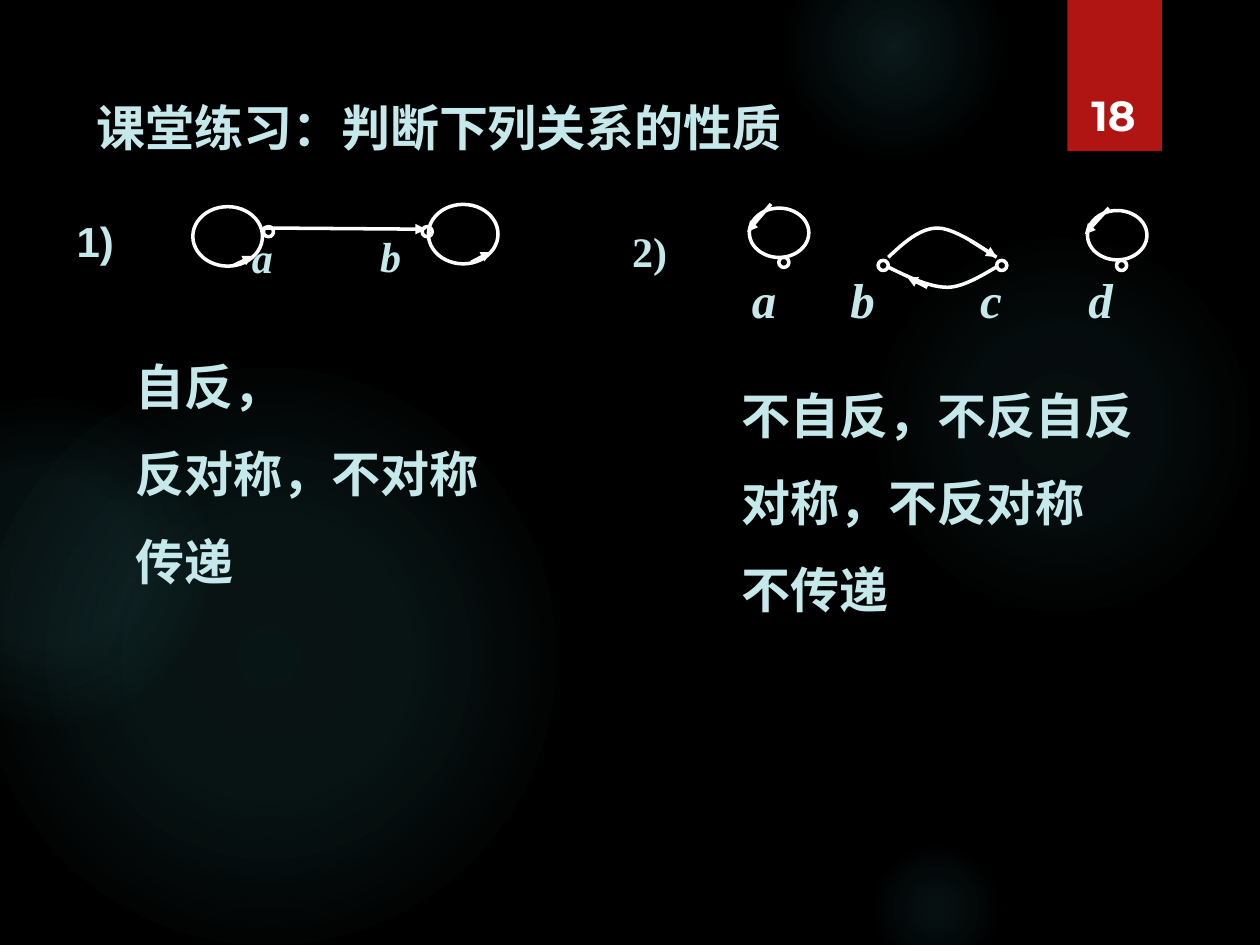
"""Build the class exercise slide on properties of relations shown as directed graphs."""
import pptx
import pptx.dml.color
import pptx.enum.shapes
import pptx.enum.text
import pptx.oxml
import pptx.oxml.ns
import pptx.util
from pptx.util import Pt

BLACK = pptx.dml.color.RGBColor(0x00, 0x00, 0x00)
WHITE = pptx.dml.color.RGBColor(0xFF, 0xFF, 0xFF)
RED = pptx.dml.color.RGBColor(0xB0, 0x15, 0x13)
PALE = pptx.dml.color.RGBColor(0xC5, 0xE8, 0xEA)
GLOW = pptx.dml.color.RGBColor(0x50, 0xB9, 0xC1)
OVAL = pptx.enum.shapes.MSO_SHAPE.OVAL
RECTANGLE = pptx.enum.shapes.MSO_SHAPE.RECTANGLE
STRAIGHT = pptx.enum.shapes.MSO_CONNECTOR.STRAIGHT
ANCHOR = pptx.enum.text.MSO_ANCHOR
ALIGN = pptx.enum.text.PP_ALIGN
NAMESPACE = pptx.oxml.ns.nsdecls("a")


def write_text(shape, box, lines, size, name="Arial", italic=False, color=PALE,
               anchor=ANCHOR.TOP, align=ALIGN.LEFT, spacing=1.1):
    shape.left, shape.top, shape.width, shape.height = map(Pt, box)
    frame = shape.text_frame
    frame.word_wrap = True
    frame.auto_size = pptx.enum.text.MSO_AUTO_SIZE.NONE
    frame.vertical_anchor = anchor
    frame.text = "\n".join(lines)
    font_format = {"size": Pt(size), "name": name, "bold": True, "italic": italic}
    for index, paragraph in enumerate(frame.paragraphs):
        paragraph.alignment = align
        paragraph.line_spacing = spacing
        paragraph.space_before = Pt(13 if index else 0)
        for attribute, value in font_format.items():
            setattr(paragraph.font, attribute, value)
        paragraph.font.color.rgb = color


def add_plain_shape(kind, left, top, width, height, fill=None, outlined=True):
    shape = slide.shapes.add_shape(kind, Pt(left), Pt(top), Pt(width), Pt(height))
    shape.shadow.inherit = False
    if fill is None:
        shape.fill.background()
    else:
        shape.fill.solid()
        shape.fill.fore_color.rgb = fill
    if outlined:
        shape.line.color.rgb = WHITE
        shape.line.width = Pt(2)
    else:
        shape.line.fill.background()
    return shape


presentation = pptx.Presentation()
presentation.slide_width, presentation.slide_height = Pt(720), Pt(540)
slide = presentation.slides.add_slide(presentation.slide_layouts[5])
slide.background.fill.solid()
slide.background.fill.fore_color.rgb = BLACK

glows = [
    (496, 132, 222, ((0, 7), (36, 6), (69, 0))),
    (448, -36, 126, ((0, 14), (36, 7), (73, 0))),
    (496, 480, 78, ((0, 9), (36, 5), (66, 0))),
    (-12, 210, 330, ((0, 11), (36, 10), (75, 0))),
    (-66, 228, 186, ((0, 8), (36, 8), (72, 0))),
]
for left, top, diameter, stops in glows:
    glow = add_plain_shape(OVAL, left, top, diameter, diameter, GLOW, outlined=False)
    stop_xml = "".join(
        f'<a:gs pos="{position * 1000}"><a:srgbClr val="{GLOW}">'
        f'<a:alpha val="{opacity * 1000}"/></a:srgbClr></a:gs>'
        for position, opacity in stops)
    gradient = pptx.oxml.parse_xml(
        f'<a:gradFill {NAMESPACE}><a:gsLst>{stop_xml}</a:gsLst><a:path path="circle">'
        '<a:fillToRect l="50000" t="50000" r="50000" b="50000"/></a:path></a:gradFill>')
    properties = glow.element.spPr
    properties.replace(properties.find(pptx.oxml.ns.qn("a:solidFill")), gradient)

add_plain_shape(RECTANGLE, 610, 0, 54, 86.4, RED, outlined=False)
write_text(slide.shapes.title, (48, 49, 567, 41), ["课堂练习：判断下列关系的性质"], 28)

nodes = [(150.5, 129.5), (241.2, 129.5), (569.5, 148.8), (501.8, 148.8),
         (445, 147), (638, 148.8)]
for left, top in nodes:
    add_plain_shape(OVAL, left, top, 5.8, 5.8, BLACK)

loops = [(110.2, 118.1, 39.8, 34), (244.8, 116.8, 39.8, 34),
         (428.2, 118.9, 34, 28.2), (621.4, 120.3, 34, 28.2)]
for loop in loops:
    add_plain_shape(OVAL, *loop)

curves = [
    [(507.6, 147), (516.2, 139), (525.6, 130.3), (535.7, 130.3),
     (546.5, 130.3), (564.5, 144), (569.5, 147)],
    [(507.6, 152.6), (519.1, 158.4), (531.4, 164.2), (541.4, 164.2),
     (551.5, 164.2), (565.2, 154.8), (569.5, 152.6)],
]
for curve in curves:
    points = []
    for start in (0, 3):
        first, second, third, fourth = curve[start:start + 4]
        for step in range(1, 13):
            t = step / 12
            points.append(tuple(
                Pt((1 - t) ** 3 * a + 3 * (1 - t) ** 2 * t * b
                   + 3 * (1 - t) * t ** 2 * c + t ** 3 * d)
                for a, b, c, d in zip(first, second, third, fourth)))
    builder = slide.shapes.build_freeform(Pt(curve[0][0]), Pt(curve[0][1]))
    builder.add_line_segments(points, close=False)
    arc = builder.convert_to_shape()
    arc.shadow.inherit = False
    arc.fill.background()
    arc.line.color.rgb = WHITE
    arc.line.width = Pt(2)

arrows = [
    (150.5, 130.3, 243.4, 131), (133.2, 151.9, 144.7, 146.2),
    (269.3, 149.8, 280.8, 144), (440.6, 116.6, 427, 132.5),
    (633.6, 118.8, 619.9, 133.9), (554.4, 137.5, 569.5, 146.9),
    (529.9, 164.2, 518.4, 158.4),
]
for arrow_ends in arrows:
    arrow = slide.shapes.add_connector(STRAIGHT, *map(Pt, arrow_ends))
    arrow.line.color.rgb = WHITE
    arrow.line.width = Pt(2)
    arrow.line._get_or_add_ln().append(
        pptx.oxml.parse_xml(f'<a:tailEnd {NAMESPACE} type="triangle"/>'))
    arrow.element.spPr.append(pptx.oxml.parse_xml(f"<a:effectLst {NAMESPACE}/>"))

serif = {"name": "Times New Roman"}
variable = {"name": "Times New Roman", "italic": True}
number = {"name": "Montserrat", "color": WHITE, "anchor": ANCHOR.BOTTOM,
          "align": ALIGN.CENTER, "spacing": 1.0}
texts = [
    ((36.7, 116.6, 57, 36), ["1)"], 24, {}),
    ((354.2, 122.4, 51, 36), ["2)"], 24, serif),
    ((136.8, 126, 45, 36), ["a"], 24, variable),
    ((210.2, 125.3, 51, 36), ["b"], 24, variable),
    ((422.6, 146.9, 45, 41), ["a"], 28, variable),
    ((478.8, 146.9, 45, 41), ["b"], 28, variable),
    ((553, 146.9, 45, 41), ["c"], 28, variable),
    ((614.9, 146.9, 45, 41), ["d"], 28, variable),
    ((70.6, 196.6, 227, 142), ["自反，", "反对称，不对称", "传递"], 28, {}),
    ((416.9, 213.1, 261, 142), ["不自反，不反自反", "对称，不反对称", "不传递"], 28, {}),
    ((611.3, 23, 50, 60.5), ["18"], 24, number),
]
for box, lines, size, text_format in texts:
    text_box = slide.shapes.add_textbox(*map(Pt, box))
    write_text(text_box, box, lines, size, **text_format)

presentation.save("out.pptx")
